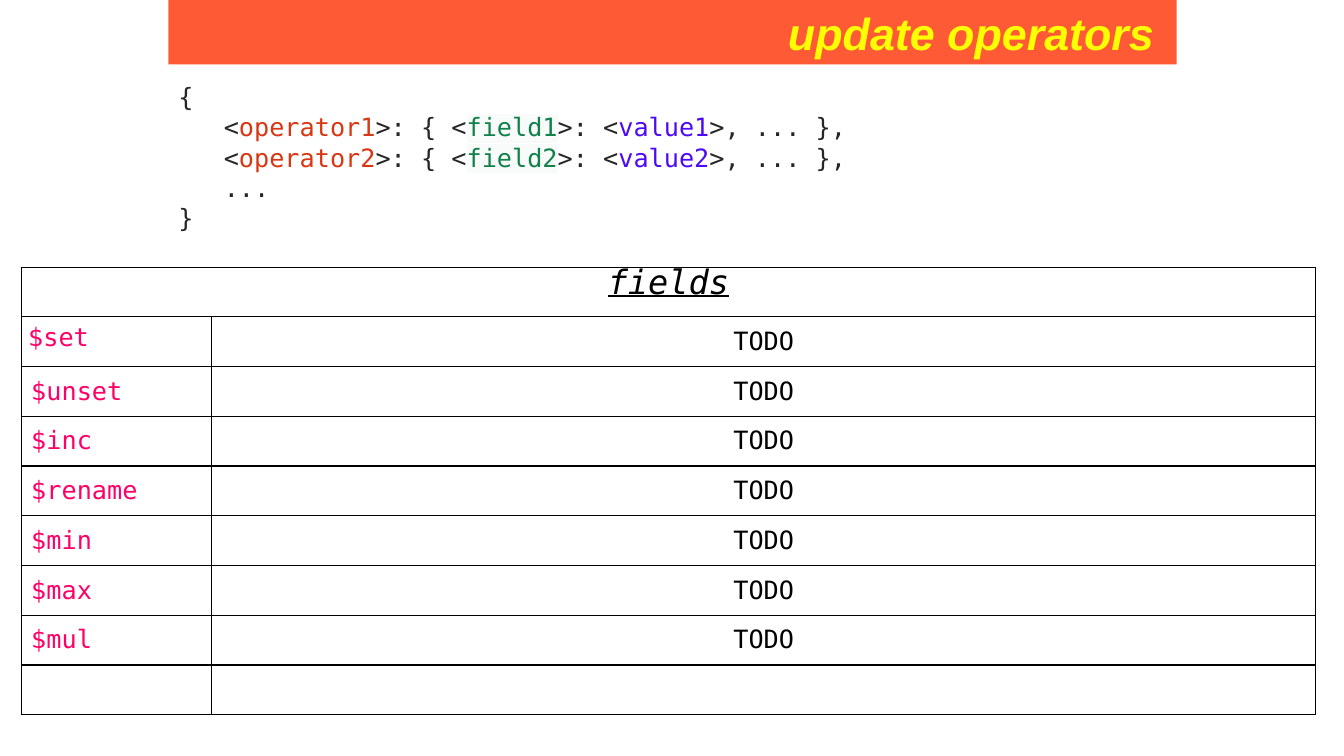
from lxml.etree import SubElement
from pptx import Presentation
from pptx.dml.color import RGBColor
from pptx.enum.text import MSO_ANCHOR as Anchor, MSO_AUTO_SIZE as AutoSize, PP_ALIGN as Align
from pptx.oxml import parse_xml
from pptx.oxml.ns import nsdecls, qn
from pptx.util import Inches, Pt

MONO = "DejaVu Sans Mono"
BLACK, INK, PINK = "000000", "262626", "FF0066"
RED, GREEN, VIOLET = "D83713", "12824D", "4D0AF4"
OPERATORS = ["$set", "$unset", "$inc", "$rename", "$min", "$max", "$mul"]


def rgb(value):
    return RGBColor.from_string(value)


def apply(target, values):
    for name, value in values.items():
        setattr(target, name, value)


class SlideBuilder:
    code_font = {"name": MONO, "size": Pt(18)}

    def __init__(self, prs):
        self.slide = prs.slides.add_slide(prs.slide_layouts[5])

    def place(self, sp, left, top, width, height):
        apply(sp, {"left": Inches(left), "top": Inches(top),
                   "width": Inches(width), "height": Inches(height)})

    def run(self, p, text, color, highlight=None, **font):
        r = p.add_run()
        r.text = text
        apply(r.font, {**self.code_font, **font})
        r.font.color.rgb = rgb(color)
        if highlight:
            mark = parse_xml(f'<a:highlight {nsdecls("a")}><a:srgbClr val="{highlight}"/></a:highlight>')
            r.font.fill
            r._r.rPr.find(qn("a:solidFill")).addnext(mark)

    def title(self, text, *box):
        sp = self.slide.shapes.title
        self.place(sp, *box)
        sp.fill.solid()
        sp.fill.fore_color.rgb = rgb("FF5A36")
        tf = sp.text_frame
        apply(tf, {"auto_size": AutoSize.NONE, "word_wrap": True,
                   "vertical_anchor": Anchor.MIDDLE, "margin_right": Inches(0.22)})
        p = tf.paragraphs[0]
        p.alignment = Align.RIGHT
        self.run(p, text, "FFFF00", name="Arial", size=Pt(32), bold=True, italic=True)

    def code(self, lines, *box):
        sp = self.slide.shapes.add_textbox(*map(Inches, box))
        tf = sp.text_frame
        tf.word_wrap = True
        for i, line in enumerate(lines):
            p = tf.add_paragraph() if i else tf.paragraphs[0]
            for part in line:
                self.run(p, *part)

    def cell(self, cell, text="", color=BLACK, align=Align.LEFT, tight=False, **font):
        tc_pr = cell._tc.get_or_add_tcPr()
        for side in ("lnL", "lnR", "lnT", "lnB"):
            ln = SubElement(tc_pr, qn(f"a:{side}"), w=str(Pt(1)))
            SubElement(SubElement(ln, qn("a:solidFill")), qn("a:srgbClr"), val=BLACK)
        cell.fill.background()
        cell.vertical_anchor = Anchor.MIDDLE
        p = cell.text_frame.paragraphs[0]
        p.alignment = align
        if tight:
            p.line_spacing = Pt(15)
            apply(cell, {"margin_left": Inches(0.07), "margin_right": Inches(0.07),
                         "margin_top": Inches(0.08), "margin_bottom": Inches(0.08)})
        if text:
            self.run(p, text, color, **font)

    def operator_table(self, heading, operators, left, top, widths, height):
        count = len(operators) + 2
        frame = self.slide.shapes.add_table(count, 2, *map(Inches, (left, top, sum(widths), height)))
        table = frame.table
        apply(table, {"first_row": False, "horz_banding": False})
        for column, width in zip(table.columns, widths):
            column.width = Inches(width)
        for row in table.rows:
            row.height = Inches(height / count)
        table.cell(0, 0).merge(table.cell(0, 1))
        self.cell(table.cell(0, 0), heading, align=Align.CENTER, tight=True,
                  size=Pt(24), italic=True, underline=True)
        self.cell(table.cell(0, 1))
        for i, name in enumerate(operators, 1):
            self.cell(table.cell(i, 0), name, PINK, tight=i == 1)
            self.cell(table.cell(i, 1), "TODO", align=Align.CENTER)
        for j in range(2):
            self.cell(table.cell(count - 1, j))


def operator_line(n):
    return [("   <", INK), (f"operator{n}", RED), (">: { <", INK),
            (f"field{n}", GREEN, "F9FBFA"), (">: <", INK),
            (f"value{n}", VIOLET), (">, ... },", INK)]


def main():
    prs = Presentation()
    apply(prs, {"slide_width": Inches(13.33), "slide_height": Inches(7.5)})
    s = SlideBuilder(prs)
    s.title("update operators", 1.67, 0, 10, 0.64)
    s.operator_table("fields", OPERATORS, 0.21, 2.65, (1.89, 10.95), 4.44)
    s.code([[("{", INK)], operator_line(1), operator_line(2),
            [("   ...", INK)], [("}", INK)]], 1.67, 0.76, 10, 1.62)
    prs.save("out.pptx")


if __name__ == "__main__":
    main()
